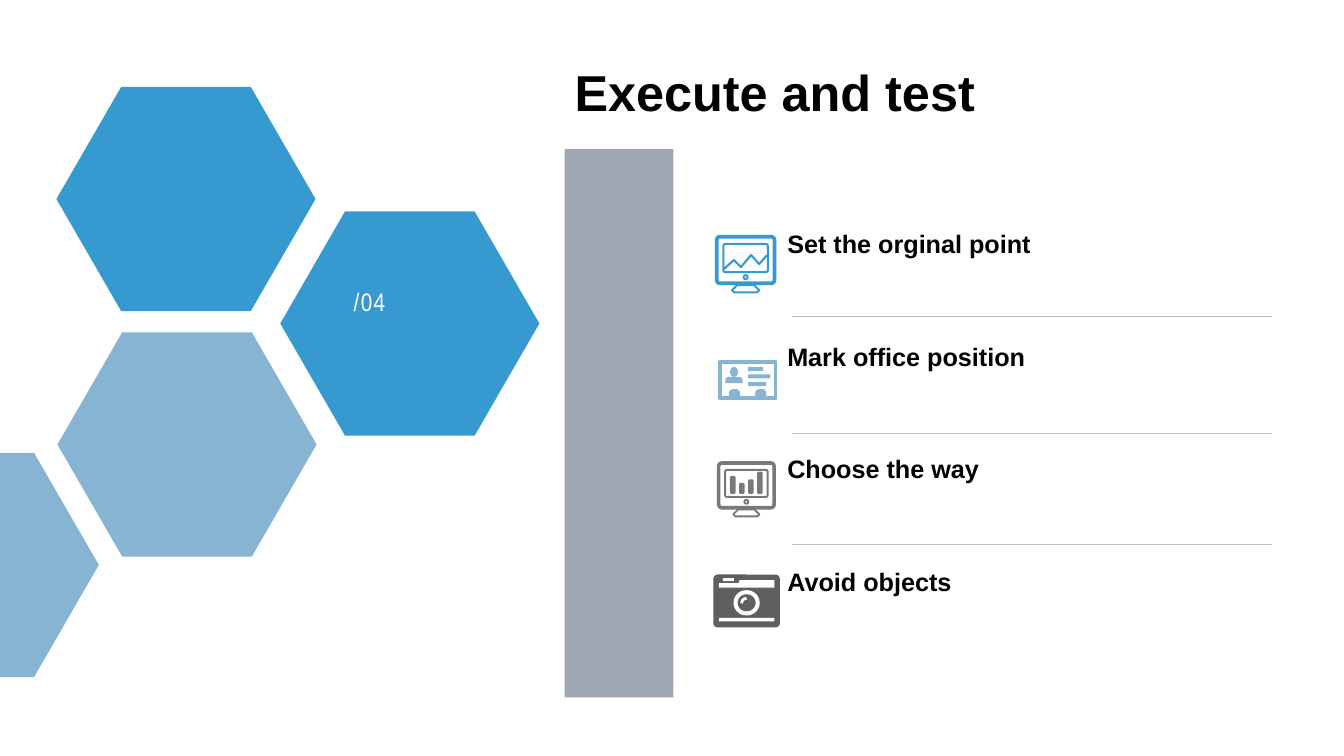
from lxml.etree import SubElement
from pptx import Presentation
from pptx.dml.color import RGBColor
from pptx.enum.shapes import MSO_CONNECTOR, MSO_SHAPE
from pptx.enum.text import MSO_ANCHOR
from pptx.oxml.ns import qn
from pptx.util import Inches, Pt

BLUE, PALE, GREY, DARK = "369AD1", "86B4D2", "797979", "5F5F5F"
WHITE, BLACK, SLATE, RULE = "FFFFFF", "000000", "768394", "BFBFBF"


def color(hex_code):
    return RGBColor.from_string(hex_code)


def grid(*cells):
    """Columns and rows are a tenth of an inch."""
    return [Inches(cell / 10) for cell in cells]


class Board:
    font = "Arial"

    def __init__(self, slide):
        self.slide = slide

    def paint(self, shape, fill=None, line=None, width=1):
        shape.shadow.inherit = False
        if fill:
            shape.fill.solid()
            shape.fill.fore_color.rgb = color(fill)
        else:
            shape.fill.background()
        if line:
            shape.line.color.rgb = color(line)
            shape.line.width = Pt(width)
        else:
            shape.line.fill.background()
        return shape

    def shape(self, kind, left, top, width, height, fill=None, adjust=(),
              line=None, weight=1):
        shape = self.slide.shapes.add_shape(kind, *grid(left, top, width, height))
        for index, value in enumerate(adjust):
            shape.adjustments[index] = value
        return self.paint(shape, fill, line, weight)

    def rectangle(self, left, top, width, height, fill):
        return self.shape(MSO_SHAPE.RECTANGLE, left, top, width, height, fill)

    def frame(self, left, top, width, height, thickness, line, corner=0.0):
        """Hollow box whose line stays inside the given bounds."""
        half = thickness / 2
        kind = MSO_SHAPE.ROUNDED_RECTANGLE if corner else MSO_SHAPE.RECTANGLE
        self.shape(kind, left + half, top + half, width - thickness,
                   height - thickness, adjust=[corner] if corner else [],
                   line=line, weight=thickness * 7.2)

    def outline(self, points, fill=None, line=None, width=1, close=True):
        corners = [tuple(grid(*point)) for point in points]
        builder = self.slide.shapes.build_freeform(*corners[0])
        builder.add_line_segments(corners[1:], close=close)
        return self.paint(builder.convert_to_shape(), fill, line, width)

    def hexagon(self, center_x, center_y, fill):
        shares = [(-0.5, -1), (0.5, -1), (1, 0), (0.5, 1), (-0.5, 1), (-1, 0)]
        self.outline([(max(0, center_x + 12.85 * x), center_y + 11.13 * y)
                      for x, y in shares], fill)

    def text(self, text, left, top, width, height, size=18, font=font, fill=BLACK,
             bold=True, anchor=MSO_ANCHOR.TOP, line_spacing=1.0, tracking=0):
        box = self.slide.shapes.add_textbox(*grid(left, top, width, height))
        frame = box.text_frame
        frame.word_wrap = True
        frame.vertical_anchor = anchor
        paragraph = frame.paragraphs[0]
        paragraph.line_spacing = line_spacing
        run = paragraph.add_run()
        run.text = text
        run.font.name, run.font.size, run.font.bold = font, Pt(size), bold
        run.font.color.rgb = color(fill)
        if tracking:
            run.font._element.set("spc", str(tracking * 100))

    def divider(self, left, right, top):
        connector = self.slide.shapes.add_connector(
            MSO_CONNECTOR.STRAIGHT, *grid(left, top, right, top))
        connector.line.color.rgb = color(RULE)
        connector.line.width = Pt(0.25)
        SubElement(connector._element.spPr, qn("a:effectLst"))

    def monitor(self, left, top, scale, fill):
        """Draw the empty monitor, 6.1 by 5.8 cells before scaling."""
        def scaled(*cells):
            return [cell * scale for cell in cells]

        def box(x, y, width, height, thickness):
            return (left + x * scale, top + y * scale,
                    *scaled(width, height, thickness))

        self.frame(*box(0, 0, 6.1, 5, 0.37), fill, corner=0.07)
        self.frame(*box(0.75, 0.8, 4.6, 3, 0.2), fill, corner=0.07)
        self.frame(*box(2.75, 3.9, 0.6, 0.6, 0.2), fill, corner=0.5)
        stand = [(2.2, 5), (1.7, 5.5), (1.9, 5.7), (4.2, 5.7), (4.4, 5.5), (3.9, 5)]
        self.outline([(left + x * scale, top + y * scale) for x, y in stand],
                     line=fill, width=1.4 * scale)

    def badge(self, left, top, fill):
        self.shape(MSO_SHAPE.OVAL, left + 1.2, top + 0.7, 0.8, 1, fill)
        self.shape(MSO_SHAPE.ROUND_2_SAME_RECTANGLE, left + 0.75, top + 1.7,
                   1.7, 0.6, fill, adjust=[0.5, 0])
        for row, width in enumerate((1.5, 2.2, 1.8)):
            self.rectangle(left + 3, top + 0.7 + 0.75 * row, width, 0.4, fill)
        self.frame(left, top, 5.9, 4, 0.37, fill)
        for x in (1.1, 3.7):
            self.shape(MSO_SHAPE.ROUND_2_SAME_RECTANGLE, left + x, top + 2.9,
                       1.1, 0.8, fill, adjust=[0.5, 0])

    def camera(self, left, top, fill):
        self.shape(MSO_SHAPE.ROUNDED_RECTANGLE, left, top, 6.6, 5.25, fill, [0.08])
        self.rectangle(left + 0.95, top + 0.35, 1.1, 0.3, WHITE)
        band = [(0.55, 0.85), (2.5, 0.85), (2.6, 0.55), (6.05, 0.55),
                (6.05, 1.3), (0.55, 1.3)]
        self.outline([(left + x, top + y) for x, y in band], WHITE)
        self.rectangle(left + 0.55, top + 4.3, 5.5, 0.35, WHITE)
        self.frame(left + 2, top + 1.55, 2.6, 2.5, 0.4, WHITE, corner=0.5)
        self.shape(MSO_SHAPE.ARC, left + 2.8, top + 2.35, 1, 1,
                   adjust=[108, 162], line=WHITE, weight=2)


def main():
    presentation = Presentation()
    presentation.slide_width, presentation.slide_height = Inches(13.33), Inches(7.5)
    slide = presentation.slides.add_slide(presentation.slide_layouts[6])
    board = Board(slide)

    # Honeycomb
    for center_x, center_y, fill in [(40.65, 32.1, BLUE), (18.55, 44.1, PALE),
                                     (-3.05, 56.05, PALE), (18.45, 19.75, BLUE)]:
        board.hexagon(center_x, center_y, fill)

    # Title and section number
    board.text("Execute and test", 56, 6.7, 69.6, 5.9, size=36,
               anchor=MSO_ANCHOR.BOTTOM, line_spacing=0.9)
    board.text("/04", 34.1, 27.9, 11.3, 9.8, font="Arial Narrow", fill=WHITE,
               bold=False, tracking=1)

    # Icons
    board.monitor(70.9, 23.3, 1, BLUE)
    trend = [(71.8, 26.7), (72.8, 25.8), (73.5, 26.5), (74.5, 25.3),
             (75.3, 26.2), (76.1, 25.3)]
    board.outline(trend, line=BLUE, width=1.5, close=False)
    board.badge(71.2, 35.7, PALE)
    board.monitor(71.1, 45.75, 0.96, GREY)
    for column, height in enumerate((1.8, 1.1, 1.45, 2.2)):
        board.shape(MSO_SHAPE.ROUNDED_RECTANGLE, 72.4 + 0.9 * column, 49 - height,
                    0.55, height, GREY, [0.3])
    board.camera(70.75, 57, DARK)

    # Steps
    steps = ["Set the orginal point", "Mark office position",
             "Choose the way", "Avoid objects"]
    for row, step in enumerate(steps):
        board.text(step, 77.1, 22.2 + 11.15 * row, 39.5, 4)

    # Side bar and dividers
    bar = board.rectangle(56, 14.8, 10.8, 54.4, SLATE)
    tint = bar._element.spPr.find(qn("a:solidFill"))[0]
    SubElement(tint, qn("a:alpha"), val="70000")
    for top in (31.4, 43, 54):
        board.divider(78.6, 126.2, top)

    presentation.save("out.pptx")


if __name__ == "__main__":
    main()
